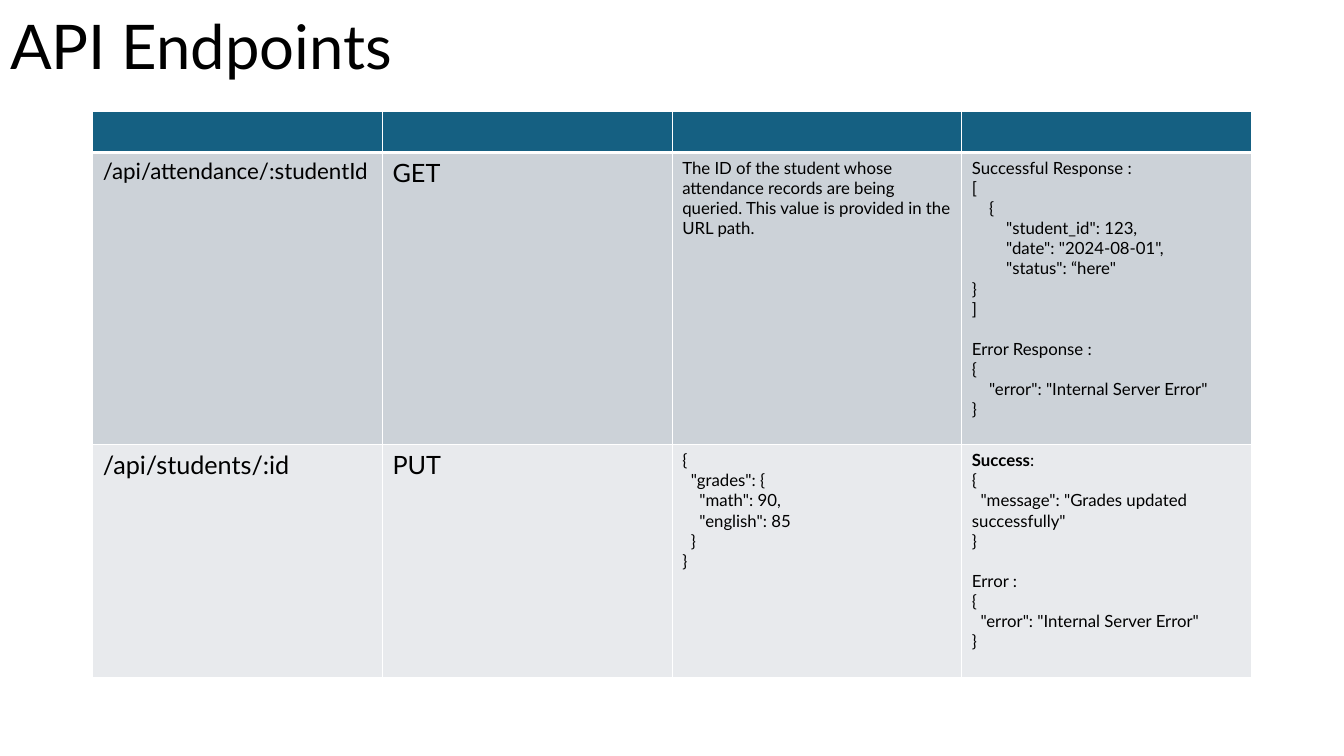
import pptx
import pptx.dml.color
import pptx.enum.text
import pptx.oxml
import pptx.oxml.ns
import pptx.util
from pptx.util import Cm

SUCCESS_AND_ERROR = [
    """Successful Response :
[
    {
        "student_id": 123,
        "date": "2024-08-01",
        "status": “here"
}
]""",
    """Error Response :
{
    "error": "Internal Server Error"
}""",
]
GRADES_BODY = """{
  "grades": {
    "math": 90,
    "english": 85
  }
}"""
GRADES_RESPONSES = [
    """**Success**:
{
  "message": "Grades updated successfully"
}""",
    """Error :
{
  "error": "Internal Server Error"
}""",
]
STUDENT_ID_NOTE = ("The ID of the student whose attendance records are being queried. "
                   "This value is provided in the URL path.")

# Each cell is (font size, blocks of lines); blocks are set apart by a line's height.
ENDPOINTS = [
    [(16, ["/api/attendance/:studentId"]), (18, ["GET"]),
     (12, [STUDENT_ID_NOTE]), (12, SUCCESS_AND_ERROR)],
    [(18, ["/api/students/:id"]), (18, ["PUT"]),
     (12, [GRADES_BODY]), (12, GRADES_RESPONSES)],
]
ROW_HEIGHTS = [1.04, 7.37, 5.86]
ROW_FILLS = ["156082", "CCD2D8", "E8EAED"]


def colour(code):
    return pptx.dml.color.RGBColor.from_string(code)


def apply(target, values):
    """Set each named attribute of the target."""
    for name, value in values.items():
        setattr(target, name, value)


class SlideBuilder:
    font = "Lato"
    ink = "000000"
    border = "FFFFFF"

    def __init__(self, page):
        self.page = page

    def span(self, para, text, size, bold=False):
        span = para.add_run()
        span.text = text
        apply(span.font, {"name": self.font, "size": pptx.util.Pt(size), "bold": bold})
        span.font.color.rgb = colour(self.ink)

    def title(self, text, left, top, width, height):
        box = self.page.shapes.title
        apply(box, {"left": Cm(left), "top": Cm(top),
                    "width": Cm(width), "height": Cm(height)})
        apply(box.text_frame, {"vertical_anchor": pptx.enum.text.MSO_ANCHOR.MIDDLE,
                               "auto_size": pptx.enum.text.MSO_AUTO_SIZE.NONE,
                               "word_wrap": True})
        para = box.text_frame.paragraphs[0]
        apply(para, {"alignment": pptx.enum.text.PP_ALIGN.LEFT, "line_spacing": 0.9})
        self.span(para, text, 44)

    def blocks(self, frame, size, blocks):
        """Write one paragraph a line, with bold between double asterisks."""
        para = frame.paragraphs[0]
        for block_number, block in enumerate(blocks):
            for line_number, line in enumerate(block.split("\n")):
                if block_number or line_number:
                    para = frame.add_paragraph()
                if block_number and not line_number:
                    para.space_before = pptx.util.Pt(size * 1.2)
                for part_number, part in enumerate(line.split("**")):
                    if part:
                        self.span(para, part, size, bold=part_number % 2 == 1)

    def borders(self, cell, widths):
        """Draw the cell's edges; widths maps L, R, T and B to points."""
        properties = cell._tc.get_or_add_tcPr()
        for position, (side, width) in enumerate(widths.items()):
            properties.insert(position, pptx.oxml.parse_xml(
                f'<a:ln{side} {pptx.oxml.ns.nsdecls("a")} w="{pptx.util.Pt(width)}">'
                f'<a:solidFill><a:srgbClr val="{self.border}"/></a:solidFill></a:ln{side}>'))

    def table(self, rows, left, top, column_width):
        columns = len(rows[0])
        frame = self.page.shapes.add_table(
            len(rows) + 1, columns, Cm(left), Cm(top),
            Cm(column_width * columns), Cm(sum(ROW_HEIGHTS)))
        table = frame.table
        for column in table.columns:
            column.width = Cm(column_width)
        for row_number, row in enumerate(table.rows):
            row.height = Cm(ROW_HEIGHTS[row_number])
            for column_number, cell in enumerate(row.cells):
                cell.fill.solid()
                cell.fill.fore_color.rgb = colour(ROW_FILLS[row_number])
                self.borders(cell, {"L": 1, "R": 1,
                                    "T": 3 if row_number == 1 else 1,
                                    "B": 3 if row_number == 0 else 1})
                if row_number:
                    self.blocks(cell.text_frame, *rows[row_number - 1][column_number])


def main():
    deck = pptx.Presentation()
    apply(deck, {"slide_width": Cm(33.87), "slide_height": Cm(19.05)})
    builder = SlideBuilder(deck.slides.add_slide(deck.slide_layouts[5]))
    builder.title("API Endpoints", 0, -0.58, 29.21, 3.68)
    builder.table(ENDPOINTS, 2.34, 2.8, 7.3)
    deck.save("out.pptx")


if __name__ == "__main__":
    main()
